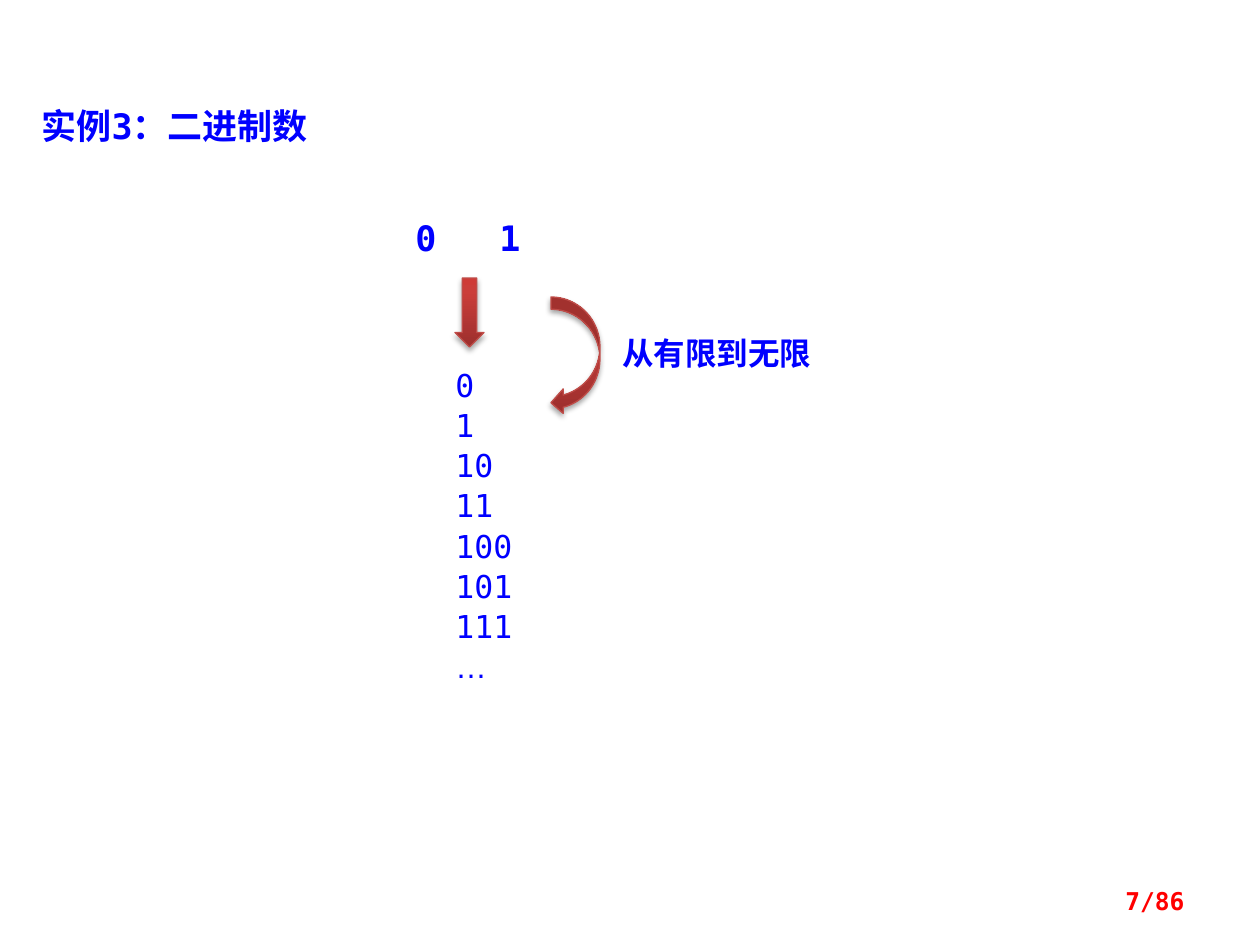
from lxml import etree
from pptx import Presentation
from pptx import util as u
from pptx.dml.color import RGBColor
from pptx.enum import shapes, text
from pptx.oxml.ns import qn

PX = 914400 / 126
MONO, CJK, LATIN = "DejaVu Sans Mono", "Noto Sans CJK SC", "Arial"
BLUE, RED = "0000FF", "FF0000"
ARROW_STOPS = [(0, "9C2F2D"), (80, "CB3E3A"), (100, "CE3B37")]
ARROW_LINE = "BF4C48"
NUMBERS = ["0", "1", "10", "11", "100", "101", "111", "…"]


def px(n):
    return u.Emu(round(n * PX))


def rgb(value):
    return RGBColor.from_string(value)


def add(parent, tag, **attrs):
    return etree.SubElement(parent, qn(tag), {k: str(v) for k, v in attrs.items()})


def add_text(s, lines, box, size=18, font=MONO, color=BLUE, bold=True,
             align=text.PP_ALIGN.LEFT, anchor=text.MSO_ANCHOR.TOP,
             spacing=None, tab=None):
    """Add a text box with one paragraph per line; tab is a tab stop in px."""
    tf = s.shapes.add_textbox(*map(px, box)).text_frame
    tf.word_wrap = True
    tf.vertical_anchor = anchor
    for i, line in enumerate(lines):
        p = tf.paragraphs[0] if i == 0 else tf.add_paragraph()
        p.alignment = align
        if spacing:
            p.line_spacing = u.Pt(spacing)
        if tab:
            tabs = add(p._p.get_or_add_pPr(), "a:tabLst")
            add(tabs, "a:tab", pos=px(tab), algn="l")
        r = p.add_run()
        r.text = line
        r.font.size = u.Pt(size)
        r.font.bold = bold
        r.font.name = LATIN if line == "…" else font
        r.font.color.rgb = rgb(color)
        add(r._r.get_or_add_rPr(), "a:ea", typeface=CJK)


def add_arrow(s, kind, box):
    """Add a block arrow with a red gradient and a soft shadow below."""
    sp = s.shapes.add_shape(kind, *map(px, box))
    sp.fill.gradient()
    sp.fill.gradient_angle = 90
    sp.line.color.rgb = rgb(ARROW_LINE)
    sp.line.width = u.Pt(0.75)
    sp.shadow.inherit = False
    props = sp._element.spPr
    stops = props.find(".//" + qn("a:gsLst"))
    for old in list(stops):
        stops.remove(old)
    for pos, color in ARROW_STOPS:
        add(add(stops, "a:gs", pos=pos * 1000), "a:srgbClr", val=color)
    shadow = add(props.find(qn("a:effectLst")), "a:outerShdw",
                 blurRad=u.Pt(3.1), dist=u.Pt(1.8), dir=90 * 60000, rotWithShape=0)
    add(add(shadow, "a:srgbClr", val="000000"), "a:alpha", val=35000)


def main():
    prs = Presentation()
    prs.slide_width, prs.slide_height = px(1260), px(945)
    s = prs.slides.add_slide(prs.slide_layouts[6])

    add_text(s, ["实例3：二进制数"], (29, 98, 315, 55), size=20)
    add_text(s, ["0\t1"], (403, 210, 147, 55), size=20, tab=84)
    add_arrow(s, shapes.MSO_SHAPE.DOWN_ARROW, (455, 278, 29, 69))
    add_text(s, NUMBERS, (443, 357, 168, 333), bold=False, spacing=23)
    add_arrow(s, shapes.MSO_SHAPE.CURVED_LEFT_ARROW, (551, 297, 49, 118))
    add_text(s, ["从有限到无限"], (610, 328, 256, 50), font=CJK)
    add_text(s, ["7/86"], (903, 876, 294, 50), size=14, color=RED,
             align=text.PP_ALIGN.RIGHT, anchor=text.MSO_ANCHOR.MIDDLE)

    prs.save("out.pptx")


if __name__ == "__main__":
    main()
